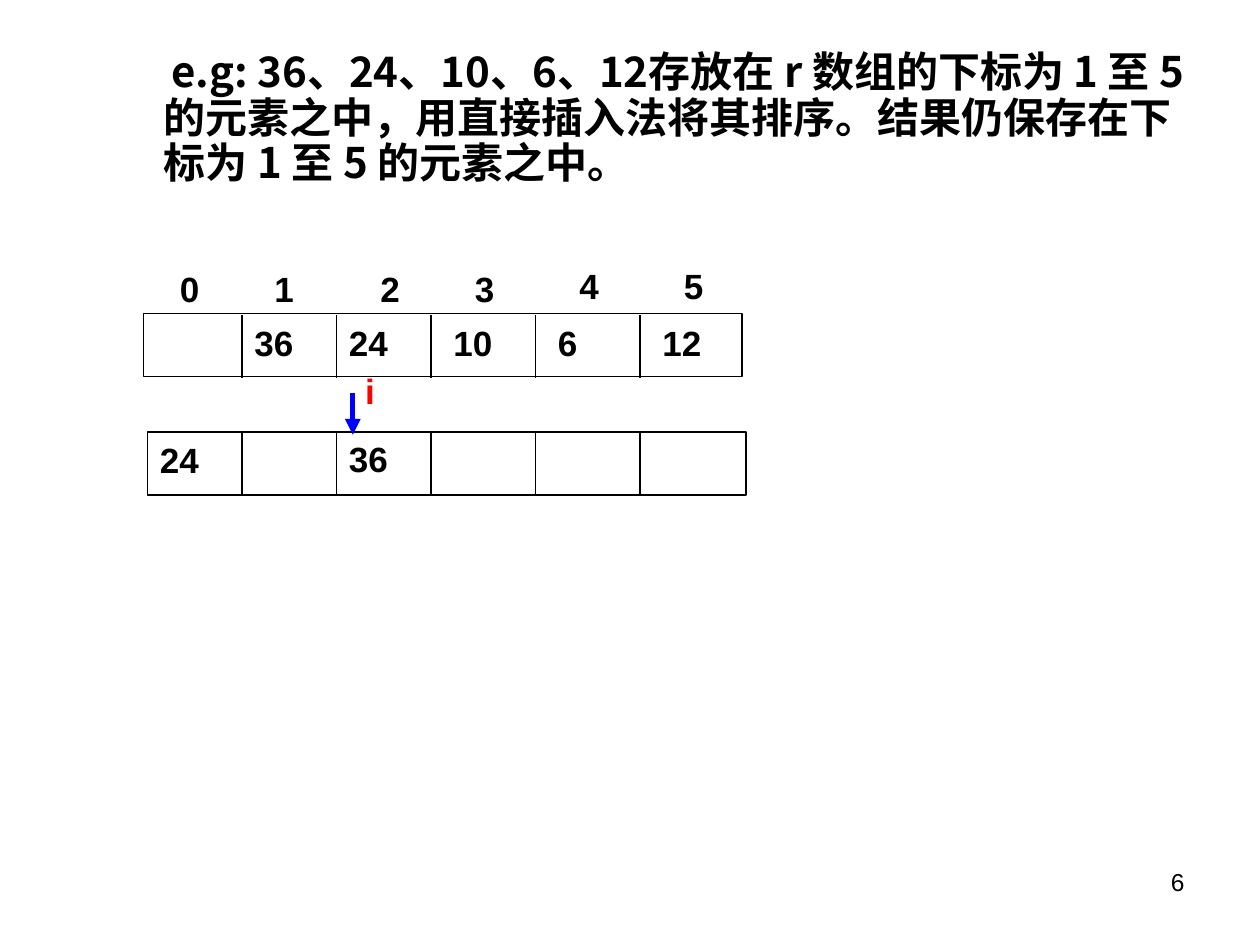
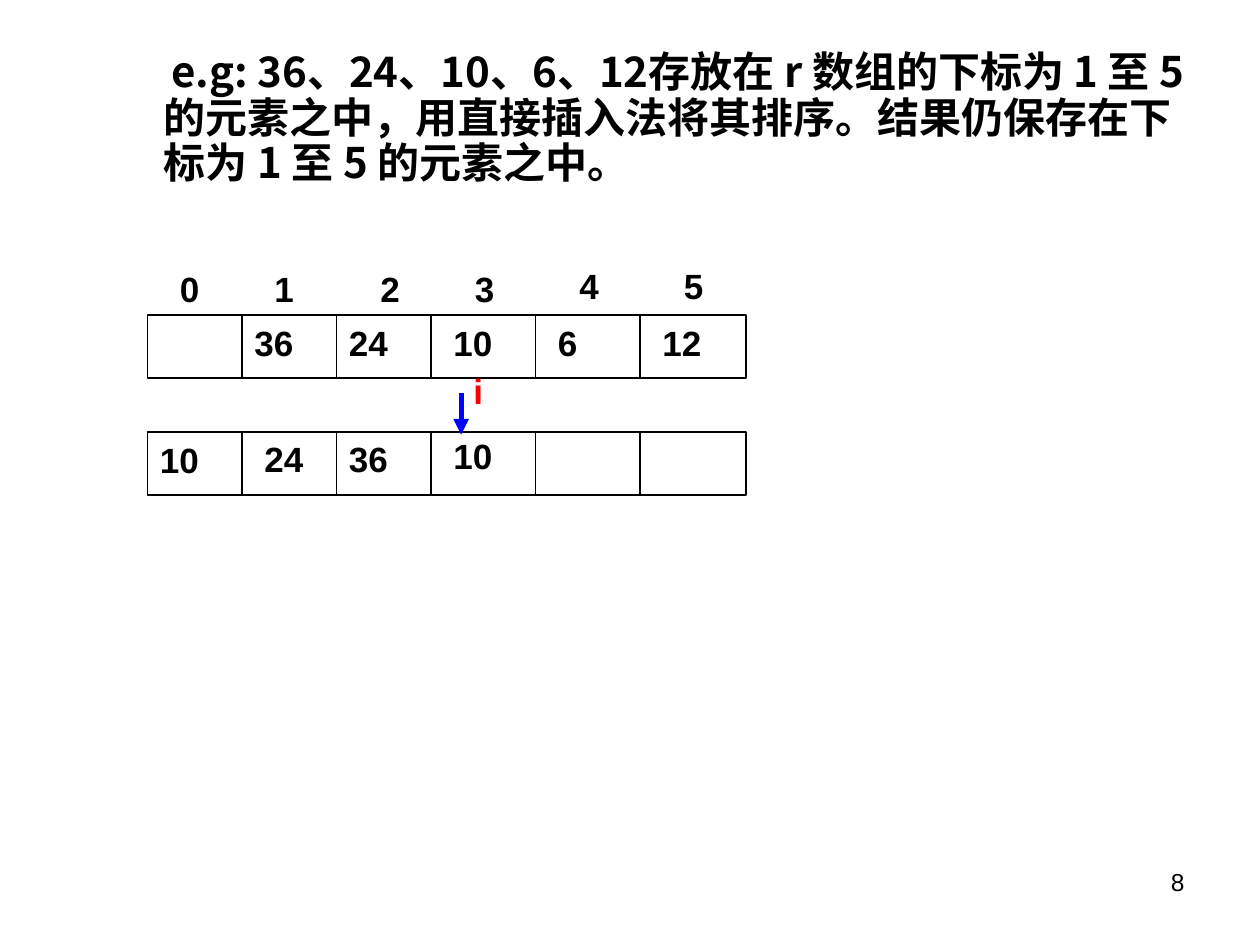
from itertools import accumulate

from lxml import etree
from pptx import Presentation
from pptx.dml.color import RGBColor
from pptx.enum.shapes import MSO_CONNECTOR, MSO_SHAPE
from pptx.enum.text import MSO_ANCHOR, MSO_AUTO_SIZE, PP_ALIGN
from pptx.oxml.ns import qn
from pptx.util import Inches, Pt

RECTANGLE = MSO_SHAPE.RECTANGLE
STRAIGHT = MSO_CONNECTOR.STRAIGHT
TOP = MSO_ANCHOR.TOP
FIXED, FIT_SHAPE = MSO_AUTO_SIZE.NONE, MSO_AUTO_SIZE.SHAPE_TO_FIT_TEXT
LEFT, RIGHT = PP_ALIGN.LEFT, PP_ALIGN.RIGHT

BLACK = RGBColor(0x00, 0x00, 0x00)
WHITE = RGBColor(0xFF, 0xFF, 0xFF)
BLUE = RGBColor(0x00, 0x00, 0xFF)
RED = RGBColor(0xFF, 0x00, 0x00)

LATIN_FONT = "Arial"
CHINESE_FONT = "Noto Sans CJK SC"
TITLE_ONLY_LAYOUT = 5

PROBLEM = (
    "e.g: 36、24、10、6、12存放在 r 数组的下标为 1 至 5 的元素之中，"
    "用直接插入法将其排序。结果仍保存在下标为 1 至 5 的元素之中。"
)

ARRAY_LEFT, ARRAY_WIDTH, CELL_HEIGHT = 1.17, 4.75, 0.5
CELL_EDGES = list(accumulate([0.75, 0.75, 0.75, 0.83, 0.83], initial=0))
INDEX_TOP, BEFORE_TOP, AFTER_TOP, POINTER_TOP = 2.07, 2.5, 3.43, 2.88
INDEX_OFFSETS = [
    (0.16, 0), (0.16, 0), (0.25, 0), (0.25, 0), (0.25, -0.02), (0.25, -0.02),
]
BEFORE_VALUES = [
    (1, "36", 0, 0), (2, "24", 0, 0),
    (3, "10", 0.08, 0), (4, "6", 0.08, 0), (5, "12", 0.08, 0),
]
STEPS = [
    {
        "number": "6",
        "before_frame_shift": (-0.03, -0.01),
        "after_values": [(0, "24", 0, 0), (2, "36", 0, -0.01)],
        "pointer_left": 2.8,
    },
    {
        "number": "8",
        "before_frame_shift": (0, 0),
        "after_values": [
            (0, "10", 0, 0), (1, "24", 0.08, -0.01),
            (2, "36", 0, -0.01), (3, "10", 0.08, -0.03),
        ],
        "pointer_left": 3.66,
    },
]


def add_run(paragraph, text, size, color=BLACK, bold=True, font_name=LATIN_FONT):
    run = paragraph.add_run()
    run.text = text
    run.font.name = font_name
    run.font.size = Pt(size)
    run.font.bold = bold
    run.font.color.rgb = color
    return run


def add_label(shapes, text, left, top, width, color=BLACK):
    label = shapes.add_textbox(
        Inches(left), Inches(top), Inches(width), Inches(0.44)
    )
    label.text_frame.word_wrap = True
    label.text_frame.auto_size = FIT_SHAPE
    add_run(label.text_frame.paragraphs[0], text, 20, color)


def add_line(shapes, left, top, height, color=BLACK, width=0.75, arrow=False):
    line = shapes.add_connector(
        STRAIGHT, Inches(left), Inches(top), Inches(left), Inches(top + height)
    )
    line.line.color.rgb = color
    line.line.width = Pt(width)
    properties = line.element.spPr
    if arrow:
        outline = properties.find(qn("a:ln"))
        etree.SubElement(outline, qn("a:tailEnd"), type="triangle")
    etree.SubElement(properties, qn("a:effectLst"))


def add_problem(slide, left, top, width, height):
    title = slide.shapes.title
    title.left, title.top = Inches(left), Inches(top)
    title.width, title.height = Inches(width), Inches(height)
    frame = title.text_frame
    frame.word_wrap = True
    frame.auto_size = FIXED
    frame.vertical_anchor = TOP
    paragraph = frame.paragraphs[0]
    paragraph.alignment = LEFT
    paragraph.line_spacing = 0.9
    properties = paragraph._p.get_or_add_pPr()
    properties.set("marL", str(Inches(0.93)))
    properties.set("indent", str(Inches(0.06)))
    run = add_run(paragraph, PROBLEM, 24, font_name=CHINESE_FONT)
    etree.SubElement(
        run._r.get_or_add_rPr(), qn("a:ea"), typeface=CHINESE_FONT
    )


def add_slide_number(slide, number, left, top, width, height):
    box = slide.shapes.add_textbox(
        Inches(left), Inches(top), Inches(width), Inches(height)
    )
    box.text_frame.word_wrap = True
    paragraph = box.text_frame.paragraphs[0]
    paragraph.alignment = RIGHT
    add_run(paragraph, number, 14, bold=False)


def add_indexes(slide, left, top):
    for index, (edge, (right, down)) in enumerate(zip(CELL_EDGES, INDEX_OFFSETS)):
        add_label(slide.shapes, str(index), left + edge + right, top + down, 0.33)


def add_array(slide, left, top, values, frame_shift=(0, 0)):
    shapes = slide.shapes.add_group_shape().shapes
    right, down = frame_shift
    frame = shapes.add_shape(
        RECTANGLE, Inches(left + right), Inches(top + down),
        Inches(ARRAY_WIDTH), Inches(CELL_HEIGHT),
    )
    frame.shadow.inherit = False
    frame.fill.solid()
    frame.fill.fore_color.rgb = WHITE
    frame.line.color.rgb = BLACK
    frame.line.width = Pt(0.75)
    for edge in CELL_EDGES[1:]:
        add_line(shapes, left + edge, top, CELL_HEIGHT)
    for cell, text, right, down in values:
        add_label(shapes, text, left + CELL_EDGES[cell] + right, top + down, 0.67)


def add_pointer(slide, left, top):
    shapes = slide.shapes.add_group_shape().shapes
    add_line(shapes, left, top + 0.24, 0.33, BLUE, 3, arrow=True)
    add_label(shapes, "i", left, top, 0.33, RED)


def add_step_slide(presentation, step):
    layout = presentation.slide_layouts[TITLE_ONLY_LAYOUT]
    slide = presentation.slides.add_slide(layout)
    add_problem(slide, 0.27, 0.36, 9.32, 1.18)
    add_slide_number(slide, step["number"], 7.17, 6.83, 2.33, 0.52)
    add_indexes(slide, ARRAY_LEFT, INDEX_TOP)
    add_array(
        slide, ARRAY_LEFT, BEFORE_TOP, BEFORE_VALUES, step["before_frame_shift"]
    )
    add_array(slide, ARRAY_LEFT, AFTER_TOP, step["after_values"])
    add_pointer(slide, step["pointer_left"], POINTER_TOP)


def main():
    presentation = Presentation()
    presentation.slide_width = Inches(10)
    presentation.slide_height = Inches(7.5)
    for step in STEPS:
        add_step_slide(presentation, step)
    presentation.save("out.pptx")


if __name__ == "__main__":
    main()
